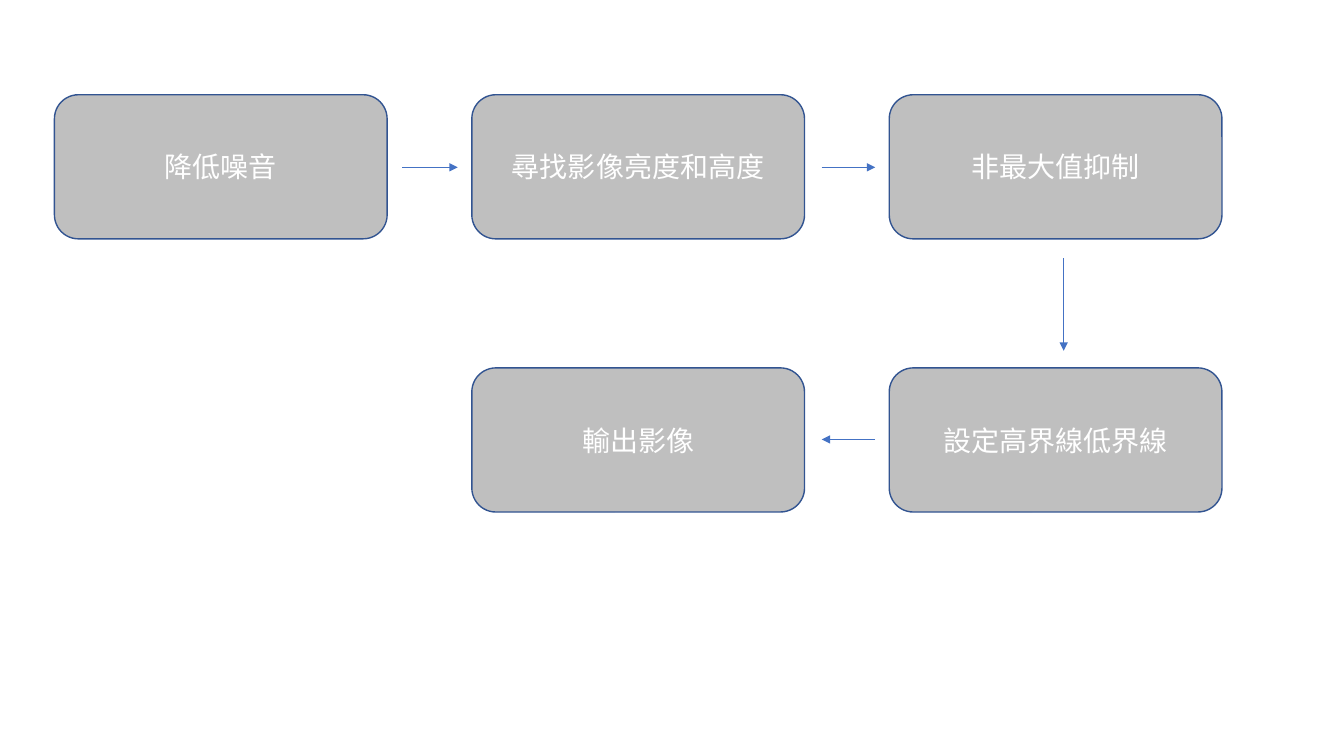
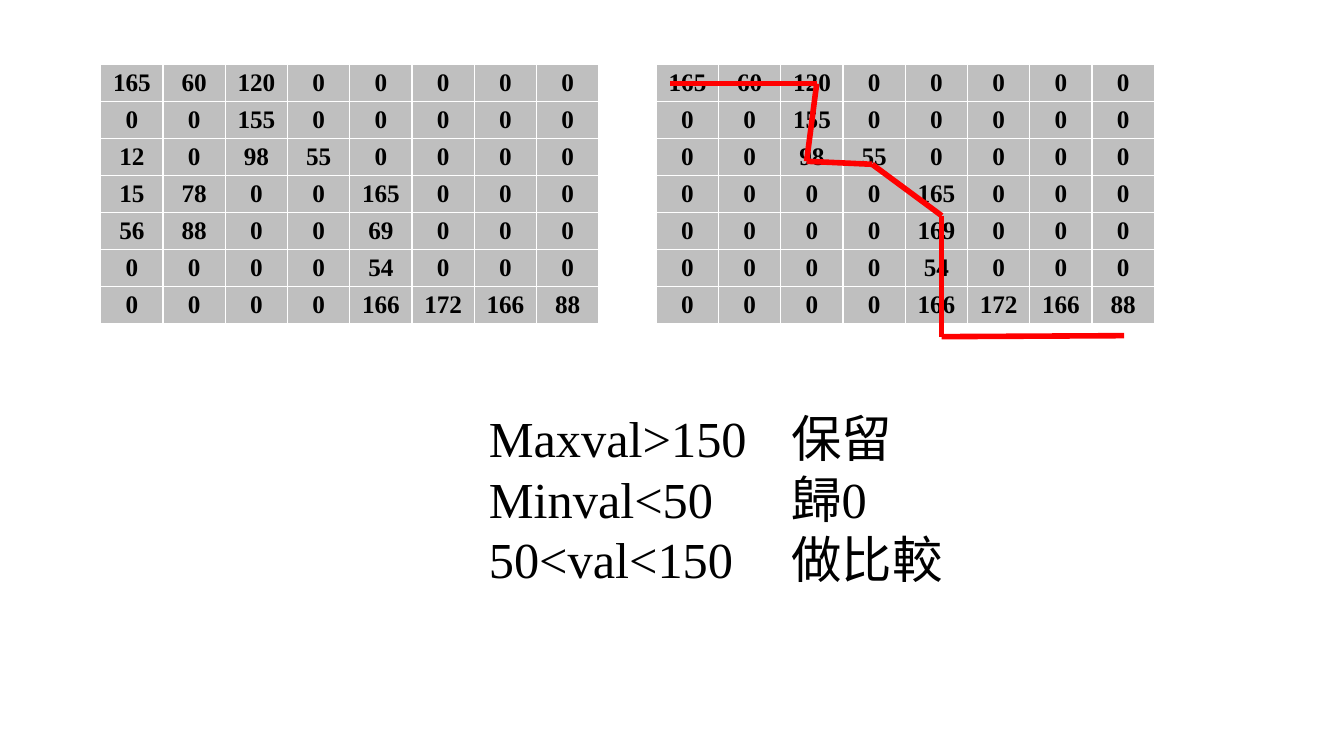
from itertools import pairwise

from lxml import etree
from pptx import Presentation
from pptx.dml.color import RGBColor
from pptx.enum.shapes import MSO_CONNECTOR, MSO_SHAPE
from pptx.enum.text import MSO_ANCHOR, MSO_AUTO_SIZE, PP_ALIGN
from pptx.oxml.ns import qn
from pptx.util import Inches, Pt

STRAIGHT = MSO_CONNECTOR.STRAIGHT
ROUNDED = MSO_SHAPE.ROUNDED_RECTANGLE
MIDDLE = MSO_ANCHOR.MIDDLE
GROW = MSO_AUTO_SIZE.SHAPE_TO_FIT_TEXT
CENTER = PP_ALIGN.CENTER
LEFT = PP_ALIGN.LEFT

GRAY = RGBColor(0xBF, 0xBF, 0xBF)
NAVY = RGBColor(0x32, 0x54, 0x91)
BLUE = RGBColor(0x44, 0x72, 0xC4)
RED = RGBColor(0xFF, 0x00, 0x00)
WHITE = RGBColor(0xFF, 0xFF, 0xFF)
BLACK = RGBColor(0x00, 0x00, 0x00)
SANS = "Noto Sans CJK SC"
SERIF = "Times New Roman"

BOX_LEFT, BOX_TOP = 0.54, 0.94
BOX_STEP_X, BOX_STEP_Y = 4.14, 2.71
BOX_WIDTH, BOX_HEIGHT = 3.3, 1.43
STEPS = [
    ("降低噪音", 0, 0),
    ("尋找影像亮度和高度", 1, 0),
    ("非最大值抑制", 2, 0),
    ("設定高界線低界線", 2, 1),
    ("輸出影像", 1, 1),
]
ARROWS = [
    ((3.99, 1.66), (4.54, 1.66)),
    ((8.15, 1.66), (8.68, 1.66)),
    ((10.55, 2.56), (10.55, 3.48)),
    ((8.68, 4.36), (8.15, 4.36)),
]

TABLE_TOP, TABLE_WIDTH, ROW_HEIGHT = 0.64, 4.94, 0.35
CELL_MARGIN = Pt(3.25)
GRADIENTS = [
    (165, 60, 120, 0, 0, 0, 0, 0),
    (0, 0, 155, 0, 0, 0, 0, 0),
    (12, 0, 98, 55, 0, 0, 0, 0),
    (15, 78, 0, 0, 165, 0, 0, 0),
    (56, 88, 0, 0, 69, 0, 0, 0),
    (0, 0, 0, 0, 54, 0, 0, 0),
    (0, 0, 0, 0, 166, 172, 166, 88),
]
KEPT_EDGES = [
    (165, 60, 120, 0, 0, 0, 0, 0),
    (0, 0, 155, 0, 0, 0, 0, 0),
    (0, 0, 98, 55, 0, 0, 0, 0),
    (0, 0, 0, 0, 165, 0, 0, 0),
    (0, 0, 0, 0, 169, 0, 0, 0),
    (0, 0, 0, 0, 54, 0, 0, 0),
    (0, 0, 0, 0, 166, 172, 166, 88),
]
EDGE_POINTS = [(6.65, 0.83), (8.1, 0.83), (8, 1.6), (8.65, 1.63),
               (9.34, 2.14), (9.34, 3.34), (11.15, 3.33)]
RULES = ["Maxval>150\t保留", "Minval<50\t歸0", "50<val<150\t做比較"]


def format_text(text_frame, size, color, font, alignment, bold=False):
    """Apply one style to every run, with the CJK font for East Asian text."""
    for paragraph in text_frame.paragraphs:
        paragraph.alignment = alignment
        for run in paragraph.runs:
            run.font.size = Pt(size)
            run.font.color.rgb = color
            run.font.name = font
            run.font.bold = bold
            properties = run.font._element
            etree.SubElement(properties, qn("a:ea"), typeface=SANS)


def add_step(slide, text, column, row):
    """Add a rounded process box at a grid position."""
    shape = slide.shapes.add_shape(
        ROUNDED, Inches(BOX_LEFT + column * BOX_STEP_X),
        Inches(BOX_TOP + row * BOX_STEP_Y), Inches(BOX_WIDTH), Inches(BOX_HEIGHT))
    shape.shadow.inherit = False
    shape.fill.solid()
    shape.fill.fore_color.rgb = GRAY
    shape.line.color.rgb = NAVY
    shape.line.width = Pt(1)
    shape.text_frame.text = text
    shape.text_frame.vertical_anchor = MIDDLE
    format_text(shape.text_frame, 20, WHITE, SANS, CENTER)


def add_line(slide, start, end, color, width, arrow=False):
    """Add a straight line, optionally with an arrowhead at its end."""
    connector = slide.shapes.add_connector(
        STRAIGHT, *(Inches(value) for value in (*start, *end)))
    connector.line.color.rgb = color
    connector.line.width = Pt(width)
    if arrow:
        etree.SubElement(connector.line._get_or_add_ln(), qn("a:tailEnd"), type="triangle")
    etree.SubElement(connector._element.spPr, qn("a:effectLst"))


def add_matrix(slide, left, values):
    """Add a table of pixel values."""
    table = slide.shapes.add_table(
        len(values), len(values[0]), Inches(left), Inches(TABLE_TOP),
        Inches(TABLE_WIDTH), Inches(ROW_HEIGHT * len(values))).table
    for row, row_values in zip(table.rows, values):
        for cell, value in zip(row.cells, row_values):
            cell.fill.solid()
            cell.fill.fore_color.rgb = GRAY
            cell.margin_top = cell.margin_bottom = CELL_MARGIN
            cell.text_frame.text = str(value)
            format_text(cell.text_frame, 18, BLACK, SERIF, CENTER, bold=True)


def add_rules(slide):
    """Add the threshold rules, with outcomes aligned at a tab stop."""
    text_box = slide.shapes.add_textbox(
        Inches(4.75), Inches(3.99), Inches(4.87), Inches(1.92))
    text_frame = text_box.text_frame
    text_frame.word_wrap = True
    text_frame.auto_size = GROW
    text_frame.text = "\n".join(RULES)
    format_text(text_frame, 36, BLACK, SERIF, LEFT)
    for paragraph in text_frame.paragraphs:
        tabs = etree.SubElement(paragraph._p.get_or_add_pPr(), qn("a:tabLst"))
        etree.SubElement(tabs, qn("a:tab"), pos=str(Inches(3)), algn="l")


def build_process_slide(slide):
    """Draw the edge detection steps."""
    for text, column, row in STEPS:
        add_step(slide, text, column, row)
    for start, end in ARROWS:
        add_line(slide, start, end, BLUE, 0.5, arrow=True)


def build_threshold_slide(slide):
    """Draw the values before and after thresholding, and the rules."""
    add_matrix(slide, 1, GRADIENTS)
    add_matrix(slide, 6.51, KEPT_EDGES)
    for start, end in pairwise(EDGE_POINTS):
        add_line(slide, start, end, RED, 4)
    add_rules(slide)


def main():
    """Build and save the presentation."""
    presentation = Presentation()
    presentation.slide_width = Inches(13.33)
    presentation.slide_height = Inches(7.5)
    blank_layout = presentation.slide_layouts[6]
    for build in (build_process_slide, build_threshold_slide):
        build(presentation.slides.add_slide(blank_layout))
    presentation.save("out.pptx")


if __name__ == "__main__":
    main()
